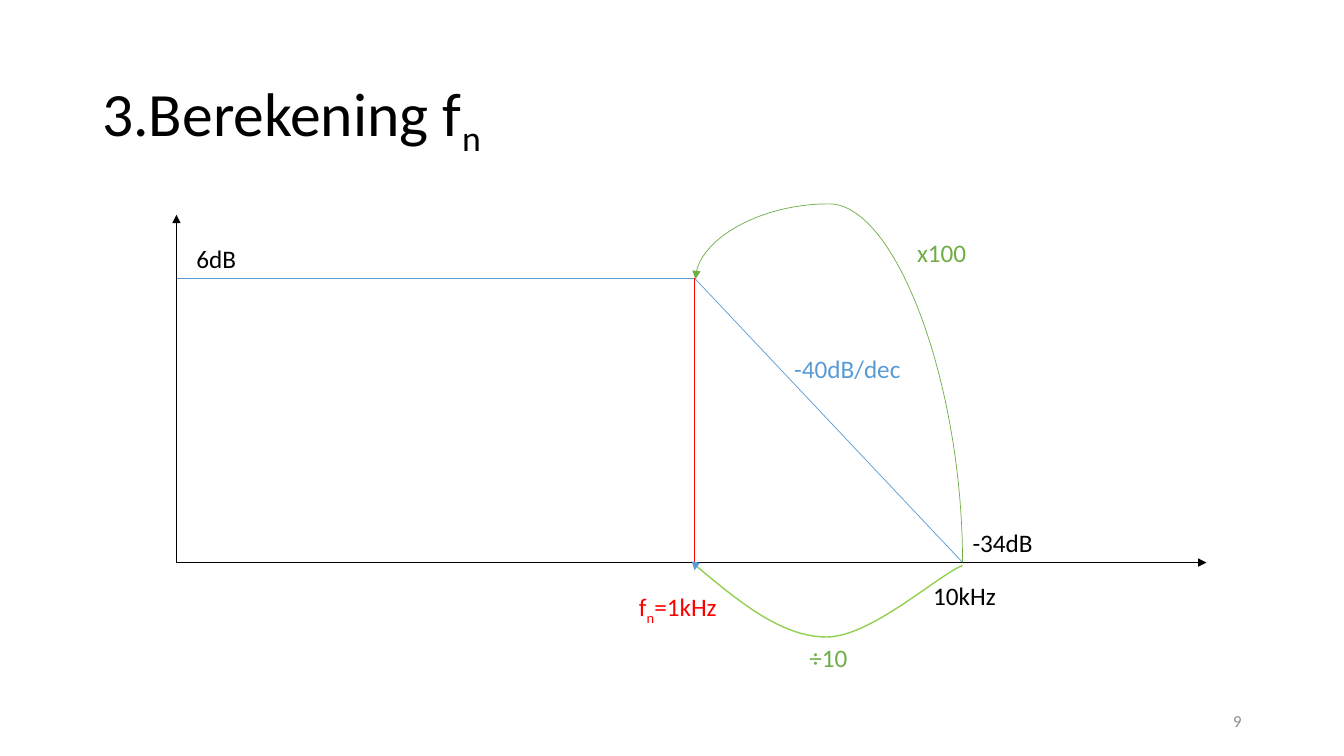
"""Builds a slide that calculates f_n from a gain curve."""
from lxml import etree
from pptx import Presentation
from pptx.dml.color import RGBColor
from pptx.enum.shapes import MSO_CONNECTOR as Connector
from pptx.enum.text import MSO_ANCHOR as Anchor, MSO_AUTO_SIZE as AutoSize, PP_ALIGN as Align
from pptx.oxml.ns import qn
from pptx.util import Pt

COLORS = {
    "black": "000000",
    "blue": "5B9BD5",
    "red": "FF0000",
    "green": "70AD47",
    "lime": "92D050",
    "gray": "8C8C8C",
}
ORIGIN_X, CUTOFF_X, END_X = 126, 496.1, 687.6
GAIN_Y, AXIS_Y = 198.7, 401.8


def rgb(name):
    """Return the named colour."""
    return RGBColor.from_string(COLORS[name])


def add_text(slide, text, left, top, width, height=29, size=18, color="black",
             align=Align.LEFT, anchor=Anchor.TOP, spacing=1.0, grow=True):
    """Add a text box; parts between underscores become subscripts."""
    box = slide.shapes.add_textbox(Pt(left), Pt(top), Pt(width), Pt(height))
    frame = box.text_frame
    frame.word_wrap = True
    frame.auto_size = AutoSize.SHAPE_TO_FIT_TEXT if grow else AutoSize.NONE
    frame.vertical_anchor = anchor
    paragraph = frame.paragraphs[0]
    paragraph.alignment = align
    paragraph.line_spacing = spacing
    for index, part in enumerate(text.split("_")):
        if not part:
            continue
        run = paragraph.add_run()
        run.text = part
        run.font.name = "Calibri"
        run.font.size = Pt(size)
        run.font.color.rgb = rgb(color)
        if index % 2:
            run._r.get_or_add_rPr().set("baseline", "-25000")


def add_line(slide, begin, end, color, kind=Connector.STRAIGHT, arrows=(),
             adjust=None, rotation=0, flip=False):
    """Add a connector; a rotated one is given by its unrotated frame."""
    line = slide.shapes.add_connector(kind, *map(Pt, begin + end))
    line.line.color.rgb = rgb(color)
    line.line.width = Pt(0.5)
    properties = line._element.spPr
    outline = properties.find(qn("a:ln"))
    for arrow in arrows:
        etree.SubElement(outline, qn(f"a:{arrow}"), type="triangle")
    etree.SubElement(properties, qn("a:effectLst"))
    transform = properties.find(qn("a:xfrm"))
    if rotation:
        transform.set("rot", str(rotation * 60000))
    if flip:
        transform.set("flipV", "1")
    if adjust is not None:
        guides = properties.find(qn("a:prstGeom")).find(qn("a:avLst"))
        etree.SubElement(guides, qn("a:gd"), name="adj1", fmla=f"val {adjust}")


def add_curve(slide, start, controls, color):
    """Add an open Bezier outline, three control points to a segment."""
    builder = slide.shapes.build_freeform(*map(Pt, start))
    builder.add_line_segments([tuple(map(Pt, point)) for point in controls], close=False)
    shape = builder.convert_to_shape()
    shape.shadow.inherit = False
    shape.fill.background()
    shape.line.color.rgb = rgb(color)
    shape.line.width = Pt(1)
    segments = list(shape._element.iter(qn("a:lnTo")))
    for first in range(0, len(segments), 3):
        bezier = etree.Element(qn("a:cubicBezTo"))
        segments[first].addprevious(bezier)
        for segment in segments[first:first + 3]:
            bezier.append(segment[0])
            segment.getparent().remove(segment)


def add_graph(slide):
    """Draw the axes, the gain curve and the arrows between its corners."""
    add_line(slide, (ORIGIN_X, GAIN_Y), (CUTOFF_X, GAIN_Y), "blue")
    add_line(slide, (CUTOFF_X, GAIN_Y), (END_X, AXIS_Y), "blue")
    add_line(slide, (ORIGIN_X, 153.4), (861.8, AXIS_Y), "black", kind=Connector.ELBOW,
             arrows=("headEnd", "tailEnd"), adjust=0)
    add_line(slide, (CUTOFF_X, GAIN_Y), (CUTOFF_X, AXIS_Y), "red")
    add_line(slide, (491, 205.2), (693.3, 396), "green", kind=Connector.CURVE,
             arrows=("tailEnd",), adjust=126600, rotation=270, flip=True)
    add_curve(slide, (CUTOFF_X, 403.2),
              [(527, 429.1), (558, 455), (590.4, 455),
               (622.1, 455), (669.6, 411.1), (END_X, 403.9)], "lime")
    add_line(slide, (494.3, 404.9), (498.6, 405.6), "blue", kind=Connector.CURVE,
             arrows=("tailEnd",), rotation=90)


def add_labels(slide):
    """Write the values beside the graph."""
    add_text(slide, "-34dB", END_X, 373, 122.4)
    add_text(slide, "6dB", 133.2, 170.6, 122.4)
    add_text(slide, "10kHz", 659.5, 411.1, 122.4)
    add_text(slide, "f_n_=1kHz", 449.3, 419, 122.4, color="red")
    add_text(slide, "-40dB/dec", 560.2, 249.1, 93.6, color="blue")
    add_text(slide, "x100", 648, 166.3, 93.6, color="green")
    add_text(slide, "÷10", 571, 455, 93.6, color="green")


def main():
    """Build and save the slide."""
    presentation = Presentation()
    presentation.slide_width, presentation.slide_height = Pt(960), Pt(540)
    slide = presentation.slides.add_slide(presentation.slide_layouts[6])
    add_text(slide, "3.Berekening f_n_", 66, 28.8, 828, 104.4, size=44,
             anchor=Anchor.MIDDLE, spacing=0.9, grow=False)
    add_graph(slide)
    add_labels(slide)
    add_text(slide, "9", 678, 500.4, 216, 28.8, size=12, color="gray",
             align=Align.RIGHT, anchor=Anchor.MIDDLE, grow=False)
    presentation.save("out.pptx")


if __name__ == "__main__":
    main()
